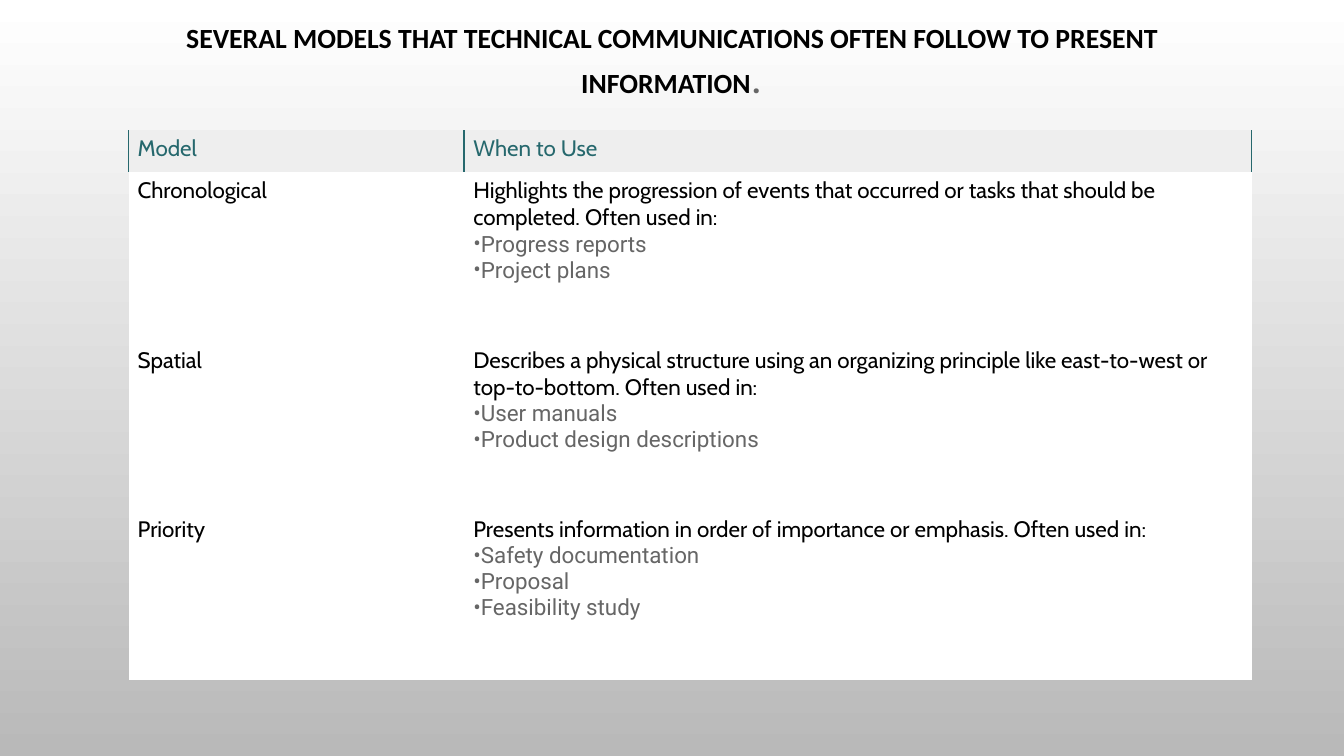
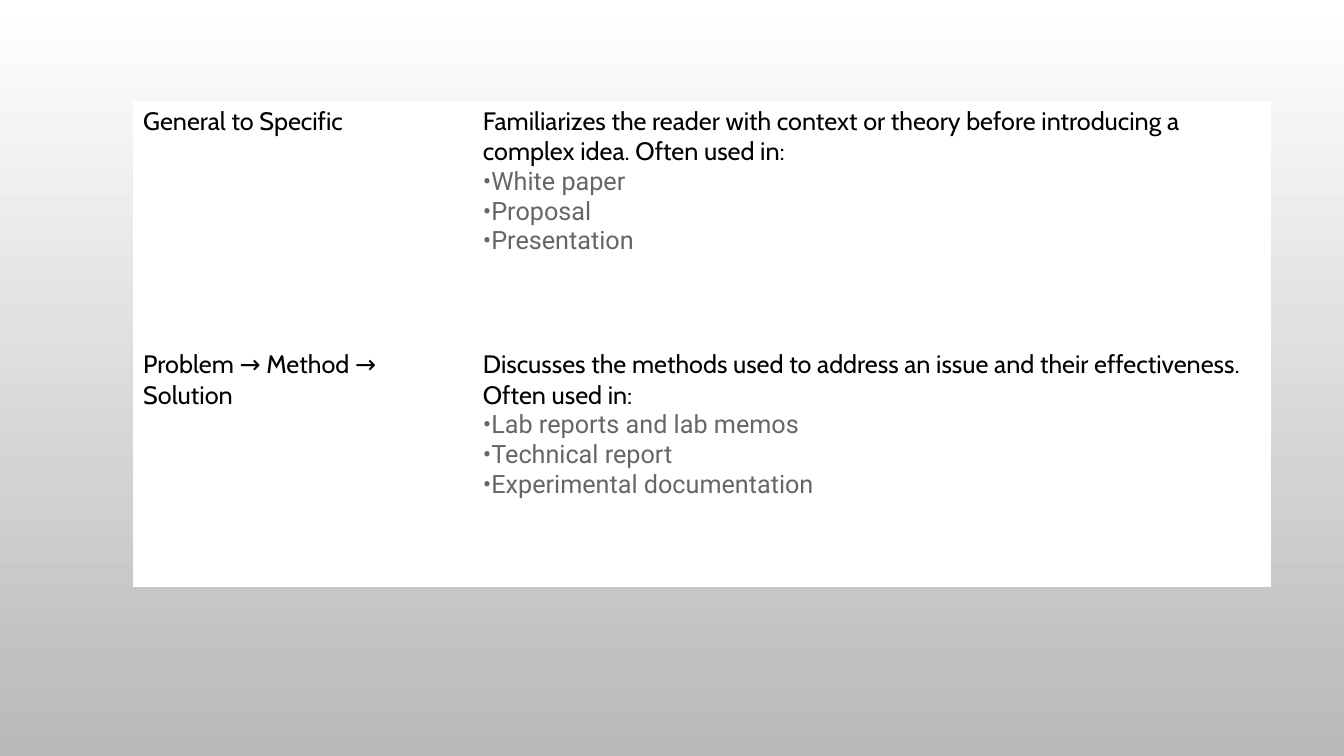
"""Build two slides that compare models for technical communication."""
import pptx
import pptx.dml.color
import pptx.enum.text
import pptx.oxml
import pptx.oxml.ns
import pptx.util

Cm = pptx.util.Cm
Pt = pptx.util.Pt

COLOURS = {
    "white": "FFFFFF",
    "shade": "B9B9B9",
    "header": "EEEEEE",
    "teal": "26686D",
    "black": "000000",
    "grey": "666666",
}
NO_TABLE_STYLE = "{2D5ABB26-0587-4C30-8999-92F81FD0307C}"

TITLE = "SEVERAL MODELS THAT TECHNICAL COMMUNICATIONS OFTEN FOLLOW TO PRESENT INFORMATION"

SLIDES = [
    {
        "title": TITLE,
        "header": ("Model", "When to Use"),
        "models": [
            ("Chronological",
             "Highlights the progression of events that occurred or tasks that should be "
             "completed. Often used in:",
             ["Progress reports", "Project plans"]),
            ("Spatial",
             "Describes a physical structure using an organizing principle like east-to-west "
             "or top-to-bottom. Often used in:",
             ["User manuals", "Product design descriptions"]),
            ("Priority",
             "Presents information in order of importance or emphasis. Often used in:",
             ["Safety documentation", "Proposal", "Feasibility study"]),
        ],
        "origin": (3.24, 3.28),
        "columns": (8.46, 19.84),
        "row": 4.27,
        "inset": 0.23,
        "size": 16,
    },
    {
        "models": [
            ("General to Specific",
             "Familiarizes the reader with context or theory before introducing a complex "
             "idea. Often used in:",
             ["White paper", "Proposal", "Presentation"]),
            ("Problem → Method → Solution",
             "Discusses the methods used to address an issue and their effectiveness. "
             "Often used in:",
             ["Lab reports and lab memos", "Technical report", "Experimental documentation"]),
        ],
        "origin": (3.36, 2.54),
        "columns": (8.56, 20.12),
        "row": 6.13,
        "inset": 0.25,
        "size": 18,
    },
]
HEADER_HEIGHT = 1.06


def rgb(name):
    return pptx.dml.color.RGBColor.from_string(COLOURS[name])


def add_text(para, text, size, font="Cabin", colour="black", bold=False, bullet=False):
    if bullet:
        properties = para._p.get_or_add_pPr()
        properties.set("marL", "0")
        properties.set("indent", "0")
        for mark in (f'buFont {pptx.oxml.ns.nsdecls("a")} typeface="{font}"',
                     f'buChar {pptx.oxml.ns.nsdecls("a")} char="•"'):
            properties.append(pptx.oxml.parse_xml(f"<a:{mark}/>"))
    span = para.add_run()
    span.text = text
    span.font.size = Pt(size)
    span.font.name = font
    span.font.bold = bold
    span.font.color.rgb = rgb(colour)


def add_side_borders(cell):
    for side in ("lnL", "lnR"):
        cell._tc.get_or_add_tcPr().append(pptx.oxml.parse_xml(
            f'<a:{side} {pptx.oxml.ns.nsdecls("a")} w="{Pt(1.5)}"><a:solidFill>'
            f'<a:srgbClr val="{COLOURS["teal"]}"/></a:solidFill></a:{side}>'))


def set_fill(cell, colour):
    cell.fill.solid()
    cell.fill.fore_color.rgb = rgb(colour)


def add_title(page, title):
    box = page.shapes.add_textbox(Cm(2.33), Cm(0.32), Cm(29.21), Cm(2.57))
    frame = box.text_frame
    frame.word_wrap = True
    frame.vertical_anchor = pptx.enum.text.MSO_ANCHOR.MIDDLE
    para = frame.paragraphs[0]
    para.alignment = pptx.enum.text.PP_ALIGN.CENTER
    para.line_spacing = 0.9
    add_text(para, title, size=19.8, font="Calibri", bold=True)
    add_text(para, ".", size=32.4, font="Roboto", colour="grey")


def add_models(page, content):
    header = content.get("header")
    models = content["models"]
    size = content["size"]
    heights = ([HEADER_HEIGHT] if header else []) + [content["row"]] * len(models)
    left, top = content["origin"]
    shape = page.shapes.add_table(
        len(heights), 2, Cm(left), Cm(top), Cm(sum(content["columns"])), Cm(sum(heights)))
    table = shape.table
    table.first_row = False
    table.horz_banding = False
    table._tbl.tblPr.find(pptx.oxml.ns.qn("a:tableStyleId")).text = NO_TABLE_STYLE
    for column, width in zip(table.columns, content["columns"]):
        column.width = Cm(width)
    for row, height in zip(table.rows, heights):
        row.height = Cm(height)
    for cell in table.iter_cells():
        cell.margin_left = cell.margin_right = Cm(content["inset"])

    rows = list(table.rows)
    if header:
        for cell, label in zip(rows.pop(0).cells, header):
            add_side_borders(cell)
            set_fill(cell, "header")
            add_text(cell.text_frame.paragraphs[0], label, size, colour="teal")
    for row, (model, purpose, uses) in zip(rows, models):
        for cell, text in zip(row.cells, (model, purpose)):
            set_fill(cell, "white")
            add_text(cell.text_frame.paragraphs[0], text, size)
        for use in uses:
            add_text(row.cells[1].text_frame.add_paragraph(), use, size,
                     font="Roboto", colour="grey", bullet=True)


def main():
    deck = pptx.Presentation()
    deck.slide_width, deck.slide_height = Cm(33.87), Cm(19.05)
    backdrop = deck.slide_master.background.fill
    backdrop.gradient()
    backdrop.gradient_angle = 270
    for stop, colour in zip(backdrop.gradient_stops, ("white", "shade")):
        stop.color.rgb = rgb(colour)
    for content in SLIDES:
        page = deck.slides.add_slide(deck.slide_layouts[6])
        if "title" in content:
            add_title(page, content["title"])
        add_models(page, content)
    deck.save("out.pptx")


if __name__ == "__main__":
    main()
